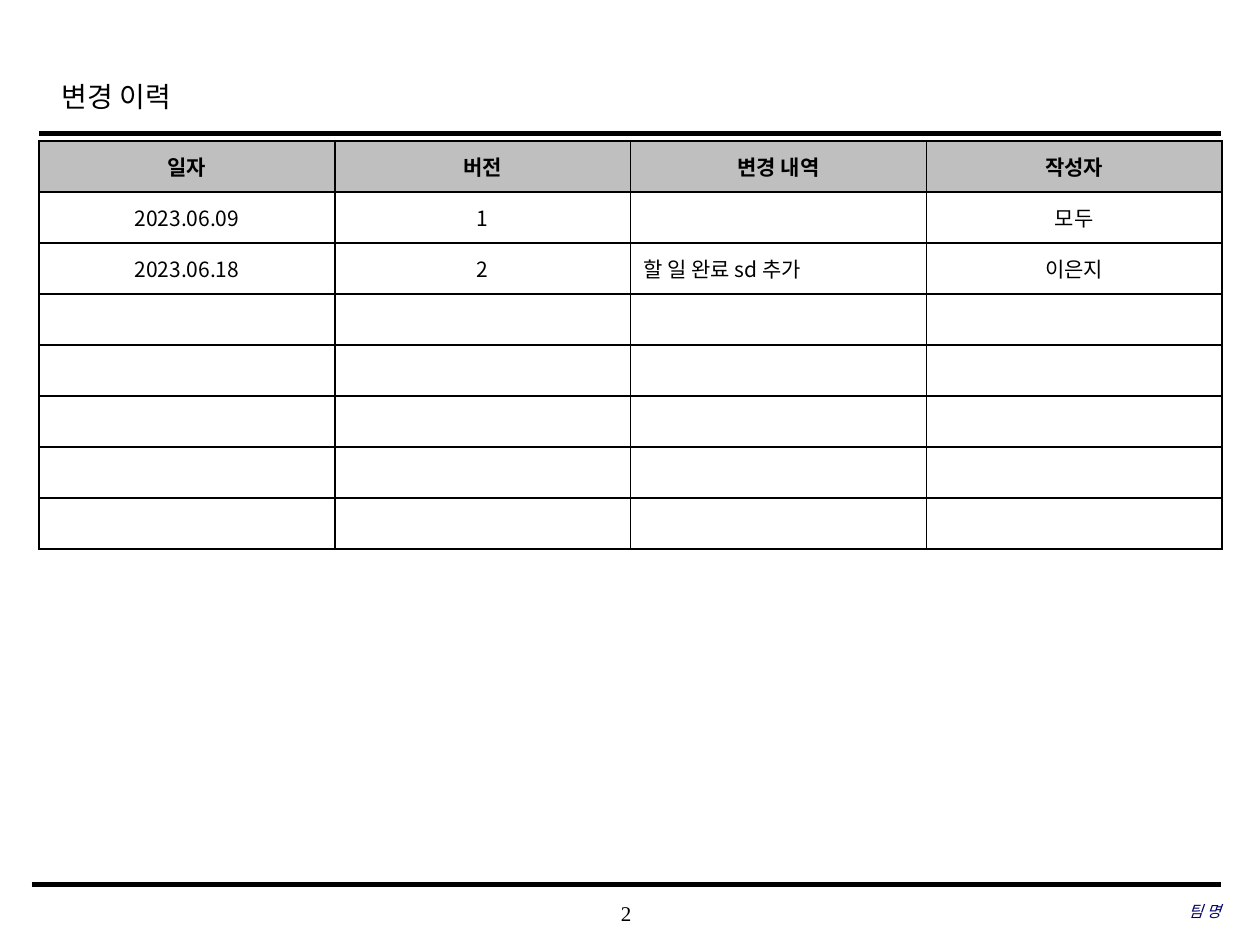
from dataclasses import dataclass

from lxml import etree
from pptx import Presentation
from pptx import util as u
from pptx.dml.color import RGBColor
from pptx.enum import text
from pptx.oxml.ns import qn


@dataclass(frozen=True)
class Theme:
    ink: str = "000000"
    team: str = "000066"
    header: str = "BFBFBF"
    paper: str = "FFFFFF"
    serif: str = "Times New Roman"
    sans: str = "Noto Sans CJK KR"
    title_size: int = 16
    body_size: int = 12
    footer_size: int = 9


LEFT, CENTER, RIGHT = (text.PP_ALIGN.LEFT, text.PP_ALIGN.CENTER, text.PP_ALIGN.RIGHT)

HEADINGS = ["일자", "버전", "변경 내역", "작성자"]
CHANGES = [
    ["2023.06.09", "1", "", "모두"],
    ["2023.06.18", "2", "할 일 완료 sd 추가", "이은지"],
]
EMPTY_ROWS = 5
NOTE_COLUMN = HEADINGS.index("변경 내역")


class SlideBuilder:
    def __init__(self, slide, theme):
        self.slide = slide
        self.theme = theme

    def add_run(self, para, words, size, font, color=None, bold=False, italic=False):
        span = para.add_run()
        span.text = words
        span.font.size = u.Pt(size)
        span.font.bold = bold
        span.font.italic = italic
        span.font.color.rgb = RGBColor.from_string(color or self.theme.ink)
        span.font.name = font
        # Hangul takes its typeface from the East Asian slot.
        etree.SubElement(span.font._element, qn("a:ea"), typeface=self.theme.sans)

    def title(self, words, left, top, width, height):
        box = self.slide.shapes.title
        box.left, box.top = u.Inches(left), u.Inches(top)
        box.width, box.height = u.Inches(width), u.Inches(height)
        box.text_frame.vertical_anchor = text.MSO_ANCHOR.MIDDLE
        para = box.text_frame.paragraphs[0]
        para.alignment = LEFT
        para.line_spacing = 1.2
        self.add_run(para, words, self.theme.title_size, self.theme.serif)

    def label(self, words, left, top, width, height, align, size, **style):
        box = self.slide.shapes.add_textbox(
            u.Inches(left), u.Inches(top), u.Inches(width), u.Inches(height))
        frame = box.text_frame
        frame.word_wrap = True
        frame.vertical_anchor = text.MSO_ANCHOR.MIDDLE
        frame.margin_left = frame.margin_right = 0
        frame.margin_top = frame.margin_bottom = 0
        para = frame.paragraphs[0]
        para.alignment = align
        self.add_run(para, words, size, self.theme.serif, **style)

    def rule(self, left, right, y, weight):
        line = self.slide.shapes.add_connector(
            1, u.Inches(left), u.Inches(y), u.Inches(right), u.Inches(y))
        line.line.color.rgb = RGBColor.from_string(self.theme.ink)
        line.line.width = u.Pt(weight)
        etree.SubElement(line._element.spPr, qn("a:effectLst"))

    def border(self, cell):
        """Draw a 1 pt line on all four sides; borders must precede the fill."""
        properties = cell._tc.get_or_add_tcPr()
        for index, side in enumerate(("lnL", "lnR", "lnT", "lnB")):
            line = etree.Element(qn(f"a:{side}"), w=str(u.Pt(1)))
            fill = etree.SubElement(line, qn("a:solidFill"))
            etree.SubElement(fill, qn("a:srgbClr"), val=self.theme.ink)
            properties.insert(index, line)

    def history_table(self, rows, left, top, width, height):
        table = self.slide.shapes.add_table(
            len(rows), len(rows[0]), u.Inches(left), u.Inches(top),
            u.Inches(width), u.Inches(height)).table
        for row_index, row in enumerate(rows):
            is_header = row_index == 0
            for column_index, words in enumerate(row):
                cell = table.cell(row_index, column_index)
                cell.vertical_anchor = text.MSO_ANCHOR.MIDDLE
                cell.fill.solid()
                cell.fill.fore_color.rgb = RGBColor.from_string(
                    self.theme.header if is_header else self.theme.paper)
                self.border(cell)
                para = cell.text_frame.paragraphs[0]
                is_note = column_index == NOTE_COLUMN and not is_header
                para.alignment = LEFT if is_note else CENTER
                self.add_run(para, words, self.theme.body_size,
                             self.theme.sans, bold=is_header)


def main():
    deck = Presentation()
    deck.slide_width, deck.slide_height = u.Inches(10), u.Inches(7.5)
    theme = Theme()
    page = SlideBuilder(deck.slides.add_slide(deck.slide_layouts[5]), theme)

    page.label("2", 3.93, 7.08, 2.08, 0.33, CENTER, theme.body_size)
    page.rule(0.31, 9.69, 1.06, 2.5)
    page.rule(0.25, 9.69, 7.02, 3)
    page.title("변경 이력", 0.39, 0.49, 7.55, 0.5)
    page.label("팀 명", 6.63, 7.07, 3.06, 0.33, RIGHT, theme.footer_size,
               color=theme.team, italic=True)
    blanks = [[""] * len(HEADINGS)] * EMPTY_ROWS
    page.history_table([HEADINGS, *CHANGES, *blanks], 0.31, 1.12, 9.39, 3.24)

    deck.save("out.pptx")


if __name__ == "__main__":
    main()
